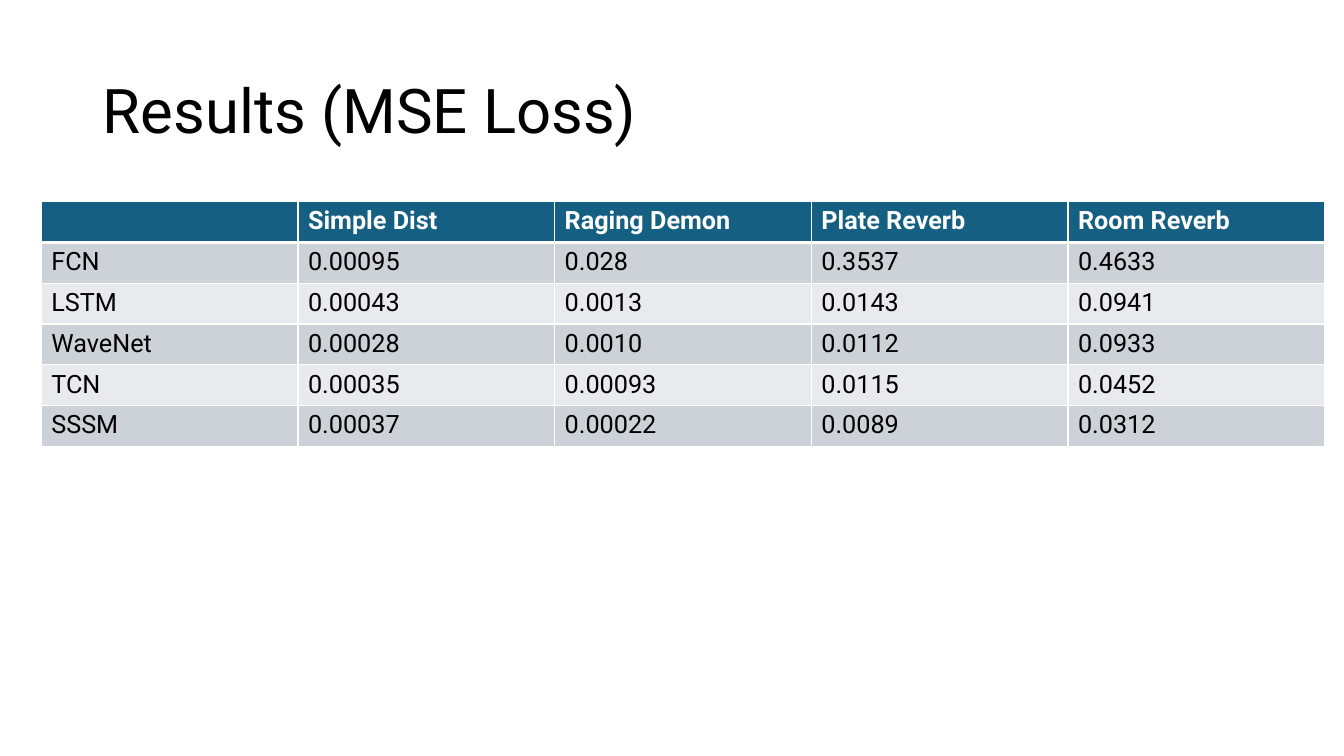
from lxml.etree import SubElement as Sub
from pptx import Presentation
from pptx.dml.color import RGBColor
from pptx.enum.text import MSO_ANCHOR as Anchor, MSO_AUTO_SIZE as Fit, PP_ALIGN as Align
from pptx.oxml.ns import qn
from pptx.util import Inches, Pt

ROWS = [
    ["", "Simple Dist", "Raging Demon", "Plate Reverb", "Room Reverb"],
    ["FCN", "0.00095", "0.028", "0.3537", "0.4633"],
    ["LSTM", "0.00043", "0.0013", "0.0143", "0.0941"],
    ["WaveNet", "0.00028", "0.0010", "0.0112", "0.0933"],
    ["TCN", "0.00035", "0.00093", "0.0115", "0.0452"],
    ["SSSM", "0.00037", "0.00022", "0.0089", "0.0312"],
]


def color(code):
    return RGBColor.from_string(code)


class Deck:
    face = "Roboto"
    ink, paper = "000000", "FFFFFF"
    head, bands = "156082", ("E8EAED", "CCD2D8")

    def __init__(self):
        self.prs = Presentation()
        self.prs.slide_width, self.prs.slide_height = Inches(13.33), Inches(7.5)
        self.slide = self.prs.slides.add_slide(self.prs.slide_layouts[5])

    def style(self, font, size, code, bold=False):
        font.name, font.size, font.bold = self.face, Pt(size), bold
        font.color.rgb = color(code)

    def title(self, text, left, top, width, height):
        shape = self.slide.shapes.title
        shape.left, shape.top = Inches(left), Inches(top)
        shape.width, shape.height = Inches(width), Inches(height)
        frame = shape.text_frame
        frame.text = text
        frame.auto_size, frame.vertical_anchor = Fit.NONE, Anchor.MIDDLE
        para = frame.paragraphs[0]
        para.alignment, para.line_spacing = Align.LEFT, 0.9
        self.style(para.runs[0].font, 44, self.ink)

    def border(self, cell, row):
        """Draw white cell edges, with a thick rule under the header."""
        props = cell._tc.get_or_add_tcPr()
        thick = {(0, "B"), (1, "T")}
        for side in "LRTB":
            width = Pt(3 if (row, side) in thick else 1)
            line = Sub(props, qn(f"a:ln{side}"), w=str(width))
            Sub(Sub(line, qn("a:solidFill")), qn("a:srgbClr"), val=self.paper)

    def table(self, rows, left, top, width, height):
        grid = self.slide.shapes.add_table(
            len(rows), len(rows[0]), Inches(left), Inches(top),
            Inches(width), Inches(height)).table
        for i, row in enumerate(rows):
            for j, text in enumerate(row):
                cell = grid.cell(i, j)
                self.border(cell, i)
                cell.fill.solid()
                cell.fill.fore_color.rgb = color(self.bands[i % 2] if i else self.head)
                cell.text = text
                code = self.ink if i else self.paper
                self.style(cell.text_frame.paragraphs[0].font, 18, code, i == 0)
                for run in cell.text_frame.paragraphs[0].runs:
                    self.style(run.font, 18, code, i == 0)


def main():
    deck = Deck()
    deck.title("Results (MSE Loss)", 0.92, 0.4, 11.5, 1.45)
    deck.table(ROWS, 0.41, 2, 12.73, 2.43)
    deck.prs.save("out.pptx")


if __name__ == "__main__":
    main()
